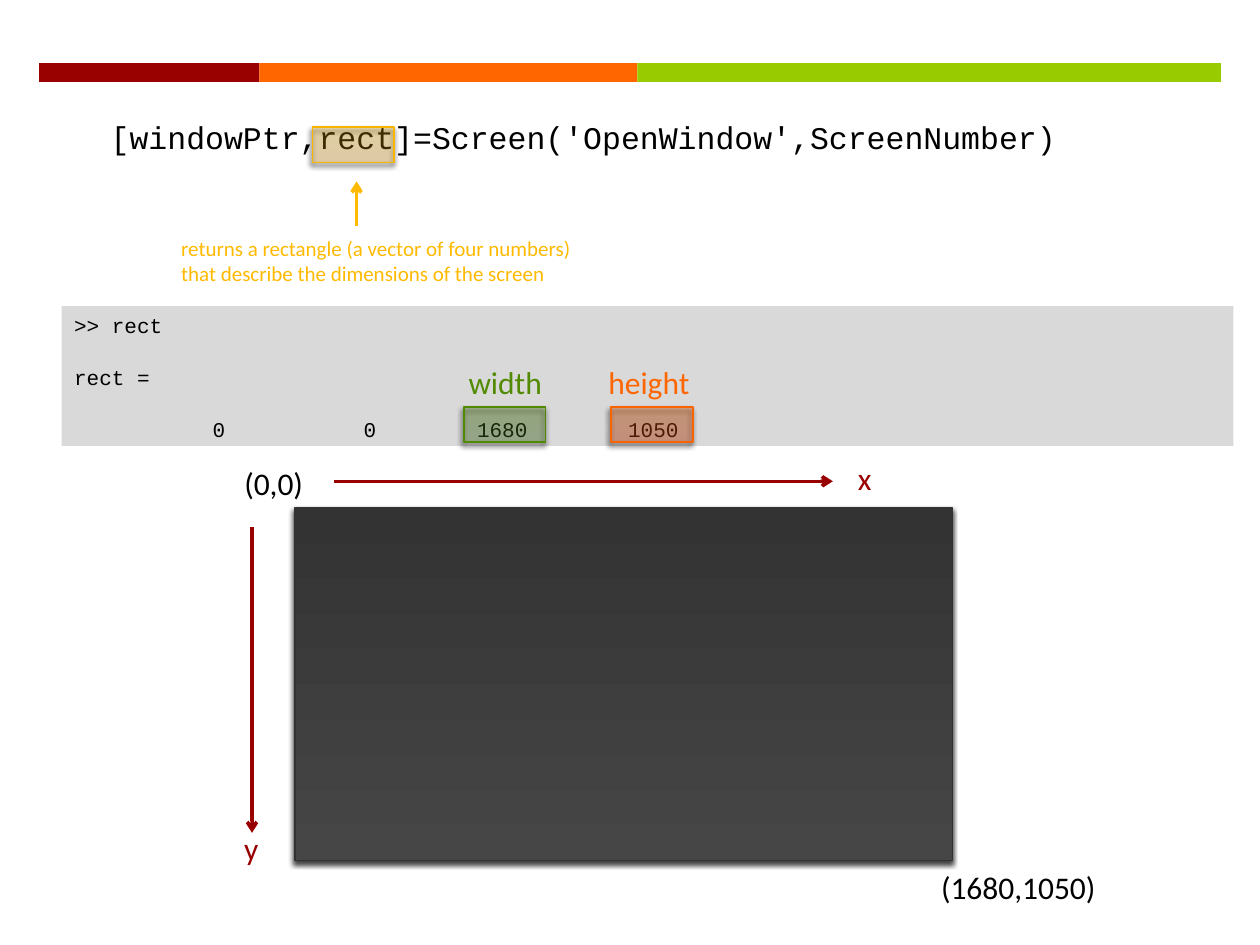
from lxml.etree import SubElement as sub
from pptx import Presentation
from pptx.dml.color import RGBColor as RGB
from pptx.enum.shapes import MSO_CONNECTOR as CONN, MSO_SHAPE as SHAPE
from pptx.enum.text import MSO_ANCHOR as ANCHOR, MSO_AUTO_SIZE as FIT, PP_ALIGN as ALIGN
from pptx.oxml.ns import qn
from pptx.util import Pt

PX = 9144
SANS, MONO = "Calibri", "Courier New"
HUE = {
    "black": "000000", "red": "990000", "orange": "FF6600", "lime": "99CC00",
    "gold": "FFBA00", "green": "528A02", "gray": "D9D9D9",
}
MARK = {
    "gold": ("FFAE17", "FFBA00", "F9B600", 23),
    "green": ("548E2B", "528C00", "518900", 27),
    "orange": ("FF5217", "FF6600", "F96400", 30),
    "dark": ("464646", "333333", "323232", 100),
}


def emu(*nums):
    """Turn px lengths into EMU."""
    return [n * PX for n in nums]


def rect(slide, box, hue=None):
    """Add a plain rectangle without line or shadow."""
    shape = slide.shapes.add_shape(SHAPE.RECTANGLE, *emu(*box))
    shape.shadow.inherit = False
    shape.line.fill.background()
    if hue:
        shape.fill.solid()
        shape.fill.fore_color.rgb = RGB.from_string(HUE[hue])
    return shape


def write(shape, text, size, hue="black", font=SANS, gap=0):
    """Put left-aligned lines of text into a shape."""
    frame = shape.text_frame
    frame.text = text
    frame.word_wrap = True
    frame.vertical_anchor = ANCHOR.TOP
    for i, para in enumerate(frame.paragraphs):
        para.alignment = ALIGN.LEFT
        para.space_before = Pt(gap if i else 0)
        for run in para.runs:
            run.font.name, run.font.size = font, Pt(size)
            run.font.color.rgb = RGB.from_string(HUE[hue])


def label(slide, box, text, size=18, hue="black", font=SANS):
    """Add a text box that grows with its text."""
    shape = slide.shapes.add_textbox(*emu(*box))
    write(shape, text, size, hue, font)
    shape.text_frame.auto_size = FIT.SHAPE_TO_FIT_TEXT


def panel(slide, box, kind):
    """Add a gradient rectangle with a soft shadow."""
    low, high, edge, alpha = MARK[kind]
    shape = rect(slide, box)
    shape.fill.gradient()
    shape.fill.gradient_angle = 90
    for stop, tone in zip(shape.fill.gradient_stops, (low, high)):
        stop.color.rgb = RGB.from_string(tone)
    props = shape._element.spPr
    if alpha < 100:
        for tone in props.iter(qn("a:srgbClr")):
            sub(tone, qn("a:alpha"), val=str(alpha * 1000))
    shape.line.color.rgb = RGB.from_string(edge)
    shape.line.width = Pt(1)
    shade = sub(props.find(qn("a:effectLst")), qn("a:outerShdw"), blurRad=str(Pt(3)),
                dist=str(Pt(2)), dir="6600000", algn="tl", rotWithShape="0")
    sub(sub(shade, qn("a:srgbClr"), val="000000"), qn("a:alpha"), val="75000")


def arrow(slide, ends, hue):
    """Add a straight arrow that points at its second end."""
    line = slide.shapes.add_connector(CONN.STRAIGHT, *emu(*ends))
    line.line.color.rgb = RGB.from_string(HUE[hue])
    line.line.width = Pt(2)
    sub(line.line._get_or_add_ln(), qn("a:tailEnd"), type="arrow")
    sub(line._element.spPr, qn("a:effectLst"))


def banner(slide, x, y, h):
    """Draw the three-colour band."""
    for wide, hue in ((175, "red"), (300, "orange"), (463, "lime")):
        rect(slide, (x, y, wide, h), hue)
        x += wide


def call(slide, x, y, w):
    """Draw the function call and the note on its second output."""
    code = "[windowPtr,rect]=Screen('OpenWindow',ScreenNumber)"
    label(slide, (x, y, w, 40), code, font=MONO)
    panel(slide, (x + 170, y + 12, 65, 28), "gold")
    note = "returns a rectangle (a vector of four numbers) that describe the dimensions of the screen"
    label(slide, (x + 56, y + 93, 337, 50), note, 12, "gold")
    arrow(slide, (x + 205, y + 90, x + 205, y + 55), "gold")


def console(slide, x, y, w, h):
    """Draw the console output with its two marked values."""
    text = ">> rect\nrect =\n           0           0        1680        1050"
    write(rect(slide, (x, y, w, h), "gray"), text, 12, font=MONO, gap=15.3)
    for left, shift, name, hue in ((319, -6, "width", "green"), (436, -12, "height", "orange")):
        panel(slide, (x + left, y + 80, 65, 28), hue)
        label(slide, (x + left + shift, y + 40, 101, 40), name, hue=hue)


def screen(slide, x, y, w, h):
    """Draw the screen with its corners and axes."""
    panel(slide, (x, y, w, h), "dark")
    label(slide, (x - 50, y - 40, 81, 40), "(0,0)")
    label(slide, (x + w - 19, y + h + 1, 149, 40), "(1680,1050)")
    arrow(slide, (x + 31, y - 21, x + 427, y - 21), "red")
    arrow(slide, (x - 34, y + 15, x - 34, y + 258), "red")
    label(slide, (x + 437, y - 44, 46, 40), "x", hue="red")
    label(slide, (x - 50, y + 250, 46, 40), "y", hue="red")


def main():
    """Build the slide and save it."""
    deck = Presentation()
    deck.slide_width, deck.slide_height = emu(1000, 750)
    slide = deck.slides.add_slide(deck.slide_layouts[6])
    banner(slide, 31, 50, 15)
    call(slide, 78, 89, 838)
    console(slide, 49, 243, 930, 111)
    screen(slide, 234, 403, 522, 280)
    deck.save("out.pptx")


if __name__ == "__main__":
    main()
